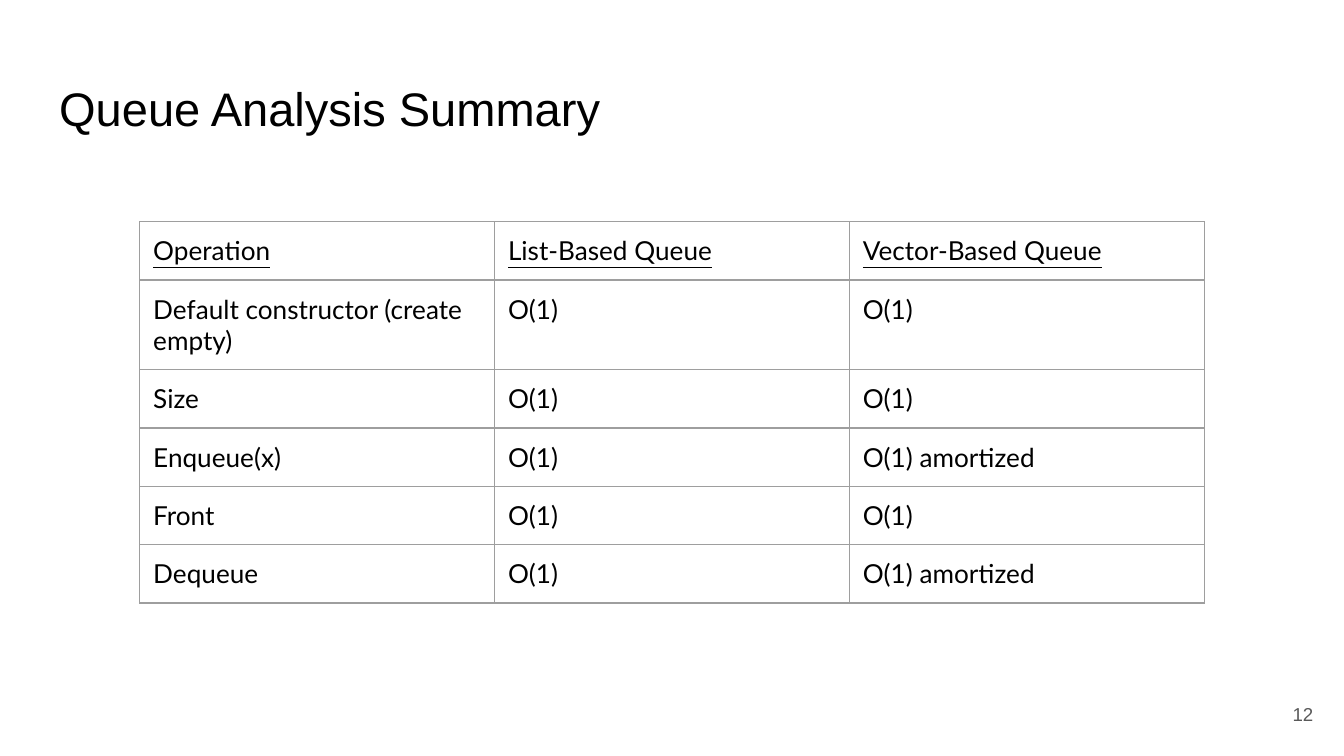
"""Build a slide with a table of queue operation costs."""
from dataclasses import dataclass

from lxml.etree import SubElement
from pptx import Presentation
from pptx.dml.color import RGBColor
from pptx.enum.text import MSO_ANCHOR, PP_ALIGN
from pptx.oxml.ns import qn
from pptx.util import Inches, Pt

TITLE = "Queue Analysis Summary"
PAGE_NUMBER = "12"
ROWS = [
    ("Operation", "List-Based Queue", "Vector-Based Queue"),
    ("Default constructor (create empty)", "O(1)", "O(1)"),
    ("Size", "O(1)", "O(1)"),
    ("Enqueue(x)", "O(1)", "O(1) amortized"),
    ("Front", "O(1)", "O(1)"),
    ("Dequeue", "O(1)", "O(1) amortized"),
]


@dataclass(frozen=True)
class Theme:
    heading_font: str = "Arial"
    table_font: str = "Lato"
    ink: str = "000000"
    muted: str = "595959"
    paper: str = "FFFFFF"
    border: str = "9E9E9E"
    title_size: float = 25.2
    table_size: float = 14
    number_size: float = 10
    border_width: float = 0.75
    inset: float = 0.1


THEME = Theme()
SLIDE_WIDTH = 10
SLIDE_HEIGHT = SLIDE_WIDTH * 9 / 16
TITLE_BOX = (0.34, 0.49, 9.32, 0.63)
NUMBER_BOX = (9.27, 5.1, 0.6, 0.43)
TABLE_LEFT, TABLE_TOP = 1.04, 1.65
COLUMN_WIDTH, ROW_HEIGHT = 2.64, 0.42


def set_insets(target):
    for side in ("left", "top", "right", "bottom"):
        setattr(target, f"margin_{side}", Inches(THEME.inset))


def write(frame, text, font, size, color, align=PP_ALIGN.LEFT):
    frame.text = text
    frame.word_wrap = True
    para = frame.paragraphs[0]
    para.alignment = align
    para.font.name = font
    para.font.size = Pt(size)
    para.font.color.rgb = RGBColor.from_string(color)
    return para


def add_borders(cell):
    properties = cell._tc.get_or_add_tcPr()
    for position, side in enumerate(("lnL", "lnR", "lnT", "lnB")):
        line = SubElement(properties, qn(f"a:{side}"), w=str(Pt(THEME.border_width)))
        fill = SubElement(line, qn("a:solidFill"))
        SubElement(fill, qn("a:srgbClr"), val=THEME.border)
        properties.insert(position, line)


def add_title(page):
    title = page.shapes.title
    title.left, title.top, title.width, title.height = map(Inches, TITLE_BOX)
    frame = title.text_frame
    set_insets(frame)
    frame.vertical_anchor = MSO_ANCHOR.TOP
    write(frame, TITLE, THEME.heading_font, THEME.title_size, THEME.ink)


def add_page_number(page):
    frame = page.shapes.add_textbox(*map(Inches, NUMBER_BOX)).text_frame
    set_insets(frame)
    frame.vertical_anchor = MSO_ANCHOR.MIDDLE
    write(frame, PAGE_NUMBER, THEME.heading_font, THEME.number_size,
          THEME.muted, PP_ALIGN.RIGHT)


def add_cost_table(page):
    row_count, column_count = len(ROWS), len(ROWS[0])
    table = page.shapes.add_table(
        row_count, column_count, Inches(TABLE_LEFT), Inches(TABLE_TOP),
        Inches(COLUMN_WIDTH * column_count), Inches(ROW_HEIGHT * row_count),
    ).table
    table.first_row = table.horz_banding = False
    for row, texts in enumerate(ROWS):
        for column, text in enumerate(texts):
            cell = table.cell(row, column)
            set_insets(cell)
            cell.fill.solid()
            cell.fill.fore_color.rgb = RGBColor.from_string(THEME.paper)
            add_borders(cell)
            para = write(cell.text_frame, text, THEME.table_font,
                         THEME.table_size, THEME.ink)
            para.runs[0].font.underline = row == 0


def main():
    deck = Presentation()
    deck.slide_width = Inches(SLIDE_WIDTH)
    deck.slide_height = Inches(SLIDE_HEIGHT)
    page = deck.slides.add_slide(deck.slide_layouts[5])
    add_title(page)
    add_page_number(page)
    add_cost_table(page)
    deck.save("out.pptx")


if __name__ == "__main__":
    main()
